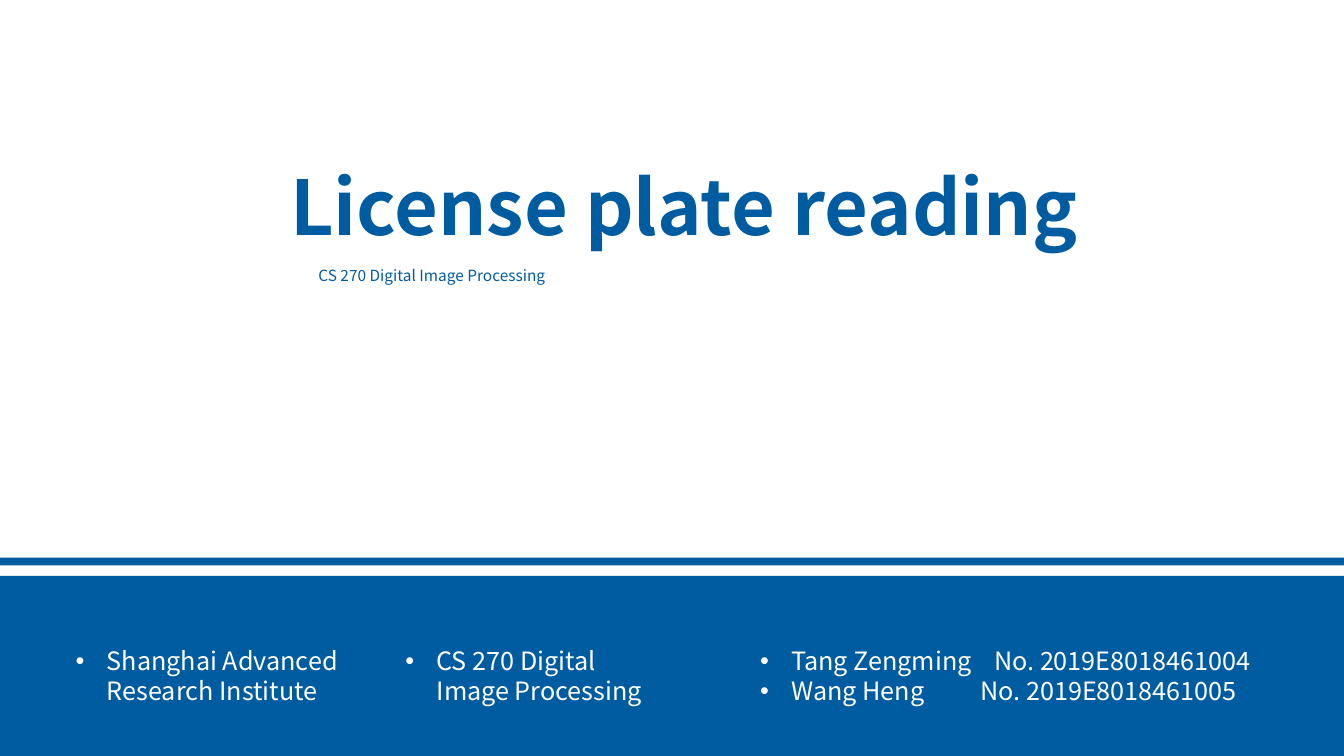
from pptx import Presentation
from pptx.dml.color import RGBColor
from pptx.enum.shapes import MSO_SHAPE as Shape
from pptx.enum.text import MSO_ANCHOR as Anchor, MSO_AUTO_SIZE as AutoSize, PP_ALIGN as Align
from pptx.oxml.ns import qn
from pptx.util import Cm, Pt
from lxml.etree import SubElement

BLUE = RGBColor(0x00, 0x5C, 0xA1)
WHITE = RGBColor(0xFF, 0xFF, 0xFF)
FONT = "Noto Sans CJK SC"
PAGE_WIDTH, PAGE_HEIGHT = 33.87, 19.05
INDENT = 0.79


def add_band(page, top, height):
    """Draw a full-width blue band behind the text."""
    band = page.shapes.add_shape(Shape.RECTANGLE, Cm(0), Cm(top), Cm(PAGE_WIDTH), Cm(height))
    band.shadow.inherit = False
    band.fill.solid()
    band.fill.fore_color.rgb = BLUE
    band.line.fill.background()
    band.element.getparent().insert(2, band.element)


def place(holder, box):
    """Move a placeholder to its box and return its text frame."""
    for name, length in zip(("left", "top", "width", "height"), box):
        setattr(holder, name, Cm(length))
    frame = holder.text_frame
    settings = {"word_wrap": True, "auto_size": AutoSize.SHAPE_TO_FIT_TEXT,
                "vertical_anchor": Anchor.TOP}
    for name, value in settings.items():
        setattr(frame, name, value)
    return frame


def write(para, text, size, color, align=Align.LEFT, bold=False):
    layout = {"alignment": align, "line_spacing": 1.0, "space_before": Pt(0), "space_after": Pt(0)}
    for name, value in layout.items():
        setattr(para, name, value)
    span = para.add_run()
    span.text = text
    for name, value in {"name": FONT, "size": Pt(size), "bold": bold}.items():
        setattr(span.font, name, value)
    span.font.color.rgb = color


def add_bullet(para, tab=None):
    """Hang the paragraph on a bullet, with an optional tab stop."""
    props = para._p.get_or_add_pPr()
    props.set("marL", str(Cm(INDENT)))
    props.set("indent", str(-Cm(INDENT)))
    SubElement(props, qn("a:buFont"), typeface="Arial")
    SubElement(props, qn("a:buChar"), char="•")
    if tab:
        stops = SubElement(props, qn("a:tabLst"))
        SubElement(stops, qn("a:tab"), pos=str(Cm(tab)), algn="l")


def fill_heading(page, left, top):
    """Title with the course name below it."""
    title = place(page.shapes.title, (left, top, 23.7, 2.57))
    write(title.paragraphs[0], "License plate reading", 54, BLUE, Align.CENTER, True)
    course = place(page.placeholders[1], (left + 2.39, top + 2.67, 18.34, 0.71))
    write(course.paragraphs[0], "CS 270 Digital Image Processing", 11, BLUE, Align.JUSTIFY)


def fill_list(holder, box, items):
    frame = place(holder, box)
    for number, (text, tab) in enumerate(items):
        para = frame.add_paragraph() if number else frame.paragraphs[0]
        add_bullet(para, tab)
        write(para, text, 18, WHITE)


def fill_footer(page, top):
    """Blue bands with institute, course and authors."""
    add_band(page, top, 0.2)
    add_band(page, top + 0.46, PAGE_HEIGHT - top - 0.46)
    columns = [
        (2, 1.65, 7.34, [("Shanghai Advanced Research Institute", None)]),
        (3, 9.96, 6.6, [("CS 270 Digital Image Processing", None)]),
        (4, 18.9, 14.33, [("Tang Zengming\tNo. 2019E8018461004", 5.9),
                          ("Wang Heng\tNo. 2019E8018461005", 5.55)]),
    ]
    for index, left, width, items in columns:
        fill_list(page.placeholders[index], (left, top + 2.08, width, 1.8), items)


def main():
    deck = Presentation()
    deck.slide_width, deck.slide_height = Cm(PAGE_WIDTH), Cm(PAGE_HEIGHT)
    page = deck.slides.add_slide(deck.slide_layouts.get_by_name("Comparison"))
    fill_heading(page, 5.38, 3.91)
    fill_footer(page, 14.05)
    deck.save("out.pptx")


if __name__ == "__main__":
    main()
